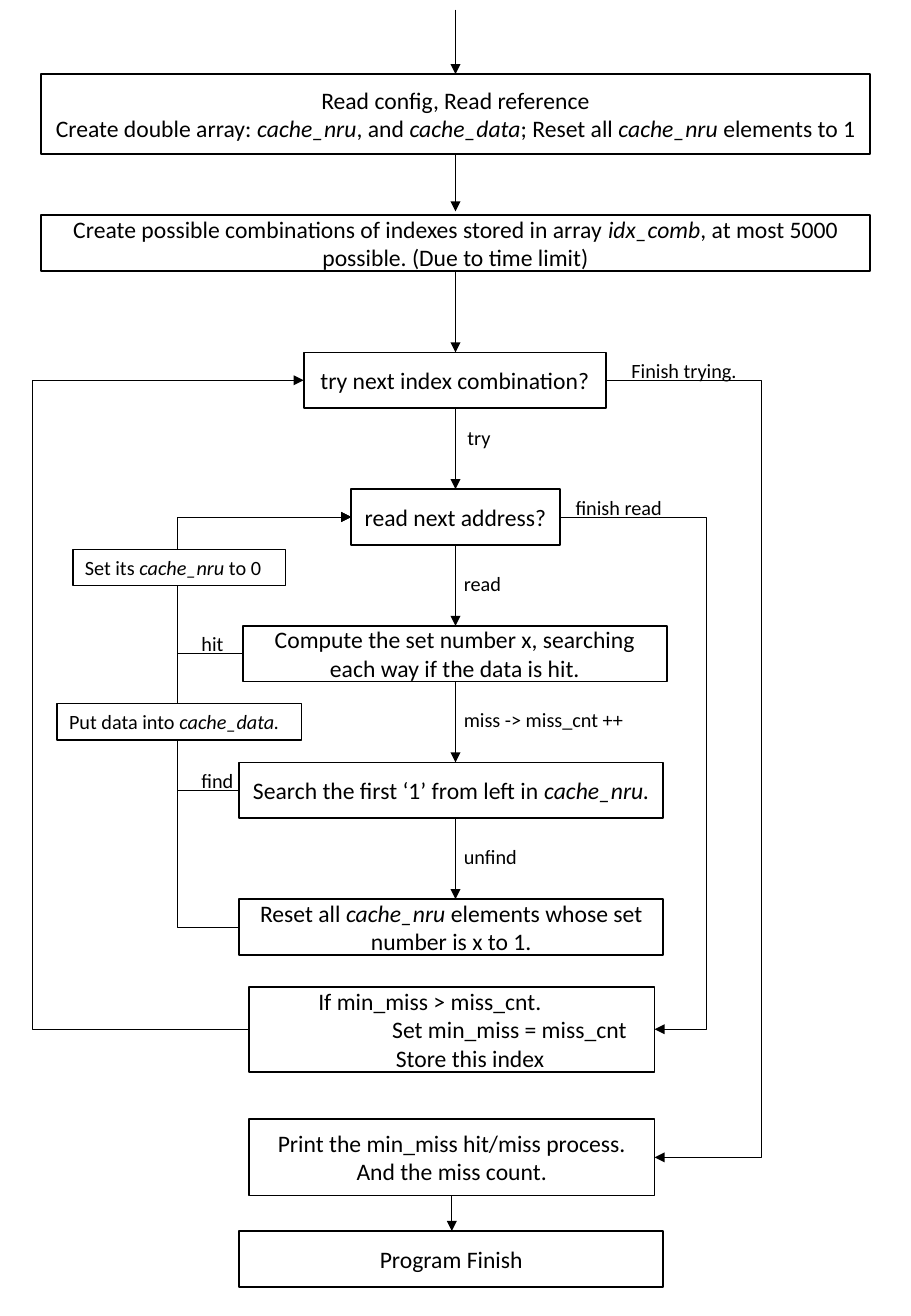
from dataclasses import dataclass

from lxml import etree
from pptx import Presentation
from pptx.dml.color import RGBColor
from pptx.enum.shapes import MSO_CONNECTOR, MSO_SHAPE
from pptx.enum.text import MSO_ANCHOR, MSO_AUTO_SIZE, PP_ALIGN
from pptx.oxml.ns import qn
from pptx.util import Inches, Pt

RECTANGLE = MSO_SHAPE.RECTANGLE
STRAIGHT, ELBOW = MSO_CONNECTOR.STRAIGHT, MSO_CONNECTOR.ELBOW
LEFT, CENTER = PP_ALIGN.LEFT, PP_ALIGN.CENTER
TOP, MIDDLE = MSO_ANCHOR.TOP, MSO_ANCHOR.MIDDLE
GROW = MSO_AUTO_SIZE.SHAPE_TO_FIT_TEXT
LEFT_SIDE, RIGHT_SIDE = 1, 3  # connection sites of a rectangle


@dataclass(frozen=True)
class Theme:
    """Colours, type sizes and line widths of the flowchart."""
    font: str = "Calibri"
    ink: RGBColor = RGBColor(0, 0, 0)
    paper: RGBColor = RGBColor(255, 255, 255)
    step_size: int = 14
    label_size: int = 12
    step_line: float = 1
    note_line: float = 0.75
    arrow_line: float = 0.5


@dataclass(frozen=True)
class Box:
    """A region of the slide, in inches."""
    left: float
    top: float
    width: float
    height: float

    def inches(self):
        """Return the four lengths for python-pptx."""
        return [Inches(v) for v in (self.left, self.top, self.width, self.height)]


THEME = Theme()
SPINE = 3.75
STEP_HEIGHT = 0.46
LABEL_HEIGHT = 0.3


def write_text(frame, text, size, align=LEFT, anchor=TOP, wrap=True, grow=False, indents=()):
    """Fill a text frame; *stars* mark italics, indents are (left, right) per line."""
    frame.word_wrap = wrap
    frame.vertical_anchor = anchor
    if grow:
        frame.auto_size = GROW
    for i, line in enumerate(text.split("\n")):
        paragraph = frame.paragraphs[0] if i == 0 else frame.add_paragraph()
        paragraph.alignment = align
        if indents:
            properties = paragraph._p.get_or_add_pPr()
            for side, indent in zip(("marL", "marR"), indents[i]):
                properties.set(side, str(Inches(indent)))
        for j, part in enumerate(line.split("*")):
            if part:
                run = paragraph.add_run()
                run.text = part
                run.font.name = THEME.font
                run.font.size = Pt(size)
                run.font.italic = j % 2 == 1
                run.font.color.rgb = THEME.ink


def add_outlined(slide, box, width):
    """Draw a rectangle with a black outline and no fill."""
    shape = slide.shapes.add_shape(RECTANGLE, *box.inches())
    shape.shadow.inherit = False
    shape.fill.background()
    shape.line.color.rgb = THEME.ink
    shape.line.width = Pt(width)
    return shape


def add_step(slide, box, text, indents=()):
    """Draw one step of the program."""
    step = add_outlined(slide, box, THEME.step_line)
    write_text(step.text_frame, text, THEME.step_size, align=CENTER, anchor=MIDDLE,
               indents=indents)
    return step


def add_note(slide, box, text):
    """Draw an action that sits on top of a return path."""
    note = add_outlined(slide, box, THEME.note_line)
    note.fill.solid()
    note.fill.fore_color.rgb = THEME.paper
    write_text(note.text_frame, text, THEME.label_size, grow=True)


def add_label(slide, left, top, width, text):
    """Write the condition beside an arrow."""
    label = slide.shapes.add_textbox(*Box(left, top, width, LABEL_HEIGHT).inches())
    write_text(label.text_frame, text, THEME.label_size, wrap=False, grow=True)


def style_arrow(connector):
    """Give a connector a thin black line, a triangle head and no shadow."""
    connector.line.color.rgb = THEME.ink
    connector.line.width = Pt(THEME.arrow_line)
    etree.SubElement(connector.line._get_or_add_ln(), qn("a:tailEnd"), type="triangle")
    etree.SubElement(connector._element.spPr, qn("a:effectLst"))


def add_down_arrow(slide, top, bottom, x=SPINE):
    """Draw a vertical arrow between two steps."""
    style_arrow(slide.shapes.add_connector(
        STRAIGHT, Inches(x), Inches(top), Inches(x), Inches(bottom)))


def add_detour(slide, start, end, start_side, end_side, lane):
    """Join two steps by an elbow that runs along the vertical line x = lane."""
    connector = slide.shapes.add_connector(ELBOW, 0, 0, 0, 0)
    connector.begin_connect(start, start_side)
    connector.end_connect(end, end_side)
    bend = (Inches(lane) - connector.begin_x) / (connector.end_x - connector.begin_x)
    geometry = connector._element.spPr.find(qn("a:prstGeom"))
    adjustments = geometry.find(qn("a:avLst"))
    if adjustments is None:
        adjustments = etree.SubElement(geometry, qn("a:avLst"))
    etree.SubElement(adjustments, qn("a:gd"), name="adj1", fmla=f"val {round(bend * 100000)}")
    style_arrow(connector)


def draw_setup(slide, box):
    """Draw the entry arrow and the two preparation steps."""
    read_top, combine_top = box.top + 0.53, box.top + 1.69
    read_height = 0.66
    add_down_arrow(slide, box.top, read_top)
    add_step(slide, Box(box.left, read_top, box.width, read_height),
             "Read config, Read reference\nCreate double array: *cache_nru*, and "
             "*cache_data*; Reset all *cache_nru* elements to 1")
    add_down_arrow(slide, read_top + read_height, combine_top - 0.03)
    add_step(slide, Box(box.left, combine_top, box.width, STEP_HEIGHT),
             "Create possible combinations of indexes stored in array *idx_comb*, "
             "at most 5000 possible. (Due to time limit)")
    add_down_arrow(slide, combine_top + STEP_HEIGHT, box.top + box.height)


def draw_search(slide, box):
    """Draw the five equally spaced search steps with the arrows between them."""
    rows = [  # offset, width, text, label below: text, width, x, gap
        (0.53, 2.49, "try next index combination?", ("try", 0.39, SPINE, 0.09)),
        (0.92, 1.72, "read next address?", ("read", 0.51, 3.72, 0.17)),
        (0.03, 3.49, "Compute the set number x, searching each way if the data is hit.",
         ("miss -> miss_cnt ++", 1.53, 3.72, 0.16)),
        (0, 3.49, "Search the first ‘1’ from left in *cache_nru.*",
         ("unfind", 0.64, 3.72, 0.16)),
        (0, 3.49, "Reset all *cache_nru* elements whose set number is x to 1.", None),
    ]
    pitch = (box.height - STEP_HEIGHT) / (len(rows) - 1)
    steps = []
    for i, (offset, width, text, below) in enumerate(rows):
        top = box.top + i * pitch
        bottom = top + STEP_HEIGHT
        steps.append(add_step(slide, Box(box.left + offset, top, width, STEP_HEIGHT), text))
        if below:
            label, label_width, x, gap = below
            add_down_arrow(slide, bottom, top + pitch)
            add_label(slide, x, bottom + gap, label_width, label)
    for row, left, width, text in ((0, 3.13, 1.07, "Finish trying."),
                                   (1, 2.67, 0.94, "finish read"),
                                   (2, -0.41, 0.38, "hit"), (3, -0.41, 0.47, "find")):
        add_label(slide, box.left + left, box.top + row * pitch, width, text)
    return steps


def draw_result(slide, box):
    """Draw the comparison, the printing and the final step."""
    left, width = box.left + 0.08, 3.34
    print_top, print_height = box.top + 1.09, 0.63
    finish_top = box.top + box.height - STEP_HEIGHT
    compare = add_step(slide, Box(left, box.top, width, 0.7),
                       "If min_miss > miss_cnt.\nSet min_miss = miss_cnt\nStore this index",
                       indents=((0, 0.36), (0.95, 0), (0.3, 0)))
    report = add_step(slide, Box(left, print_top, width, print_height),
                      "Print the min_miss hit/miss process. And the miss count.")
    add_down_arrow(slide, print_top + print_height, finish_top, left + width / 2)
    add_step(slide, Box(box.left, finish_top, box.width, STEP_HEIGHT), "Program Finish")
    return compare, report


def draw_detours(slide, box, search_steps, compare, report):
    """Draw the return paths and exits, with the notes on the inner return path."""
    try_index, read_address, *lookups = search_steps
    right = box.left + box.width
    for lookup in lookups:
        add_detour(slide, lookup, read_address, LEFT_SIDE, LEFT_SIDE, box.left + 1.19)
    add_detour(slide, compare, try_index, LEFT_SIDE, LEFT_SIDE, box.left)
    add_detour(slide, read_address, compare, RIGHT_SIDE, RIGHT_SIDE, right - 0.45)
    add_detour(slide, try_index, report, RIGHT_SIDE, RIGHT_SIDE, right)
    add_note(slide, Box(box.left + 0.33, box.top + 1.39, 1.75, LABEL_HEIGHT),
             "Set its *cache_nru* to 0")
    add_note(slide, Box(box.left + 0.2, box.top + 2.66, 2.01, LABEL_HEIGHT),
             "Put data into *cache_data.*")


def main():
    """Build the flowchart slide."""
    deck = Presentation()
    deck.slide_width, deck.slide_height = Inches(7.5), Inches(10.83)
    slide = deck.slides.add_slide(deck.slide_layouts[6])
    draw_setup(slide, Box(0.34, 0.08, 6.82, 2.82))
    search_steps = draw_search(slide, Box(1.97, 2.9, 3.49, 4.96))
    compare, report = draw_result(slide, Box(1.97, 8.12, 3.49, 2.47))
    draw_detours(slide, Box(0.27, 3.13, 6, 6.39), search_steps, compare, report)
    deck.save("out.pptx")


main()
